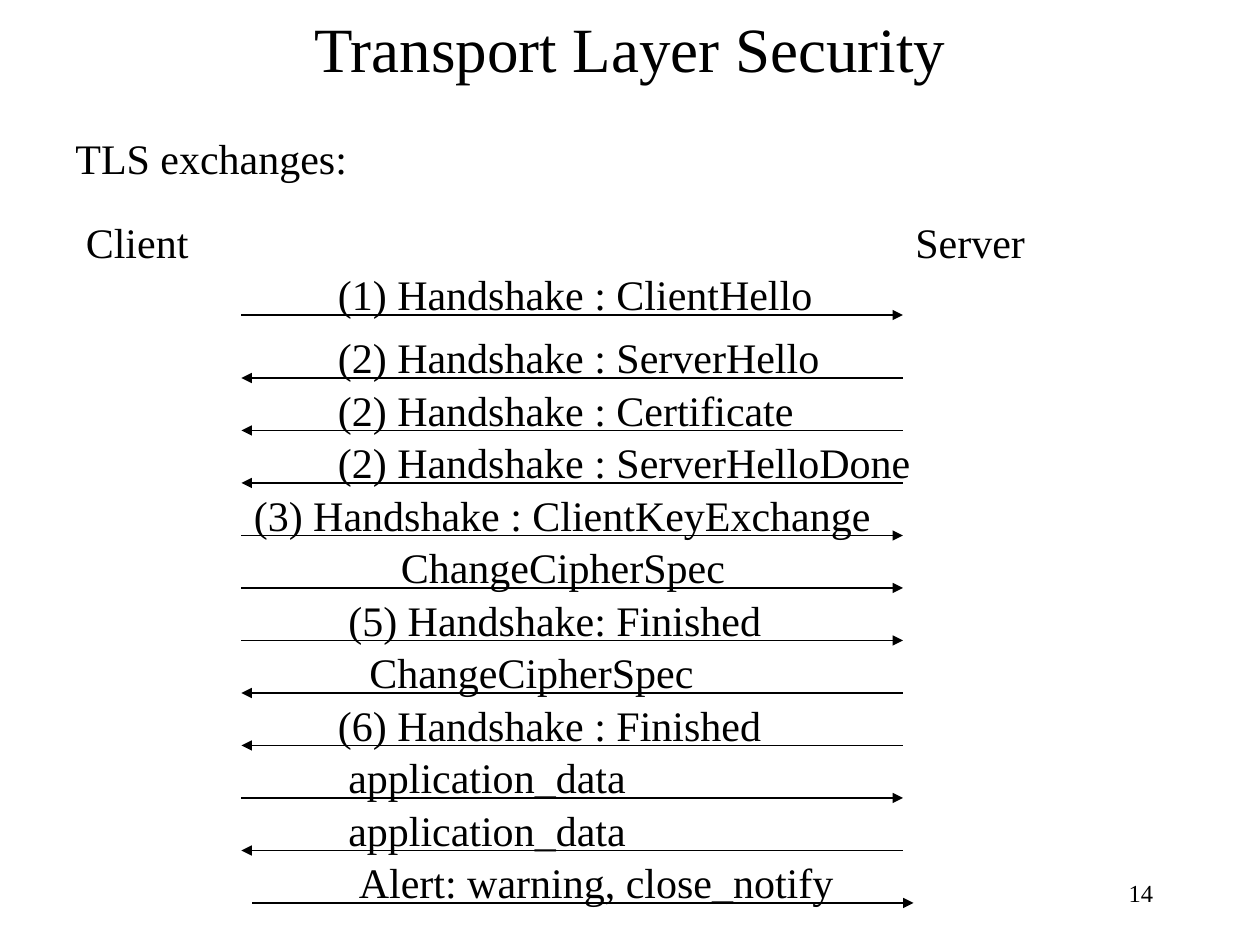
from lxml import etree
from pptx import Presentation
from pptx import util as u
from pptx.dml.color import RGBColor
from pptx.enum import shapes, text
from pptx.oxml.ns import qn

COLUMNS, ROWS = 120, 90
CLIENT, SERVER = 23, 86
MESSAGE_STEP = 5

# label, label column, direction, extra rows before, shift of the arrow
MESSAGES = [
    ("(1) Handshake : ClientHello", 31, "right"),
    ("(2) Handshake : ServerHello", 31, "left"),
    ("(2) Handshake : Certificate", 31, "left"),
    ("(2) Handshake : ServerHelloDone", 31, "left"),
    ("(3) Handshake : ClientKeyExchange", 23, "right"),
    ("ChangeCipherSpec", 37, "right"),
    ("(5) Handshake: Finished", 32, "right"),
    ("ChangeCipherSpec", 34, "left"),
    ("(6) Handshake : Finished", 31, "left"),
    ("application_data", 32, "right"),
    ("application_data", 32, "left"),
    ("Alert: warning, close_notify", 33, "right"),
]


def color(value):
    return RGBColor.from_string(value.lstrip("#"))


class SequenceSlide:
    """Draws styled text and arrows on a slide grid of 120 columns and 90 rows."""

    font = "Times New Roman"
    ink = "#000000"

    def __init__(self, presentation):
        self.slide = presentation.slides.add_slide(presentation.slide_layouts[6])
        self.column = presentation.slide_width / COLUMNS
        self.row = presentation.slide_height / ROWS

    def x(self, columns):
        return round(columns * self.column)

    def y(self, rows):
        return round(rows * self.row)

    def text(self, words, left, top, width, height, size=24, space=4.8,
             align=text.PP_ALIGN.LEFT, anchor=text.MSO_ANCHOR.TOP):
        shape = self.slide.shapes.add_textbox(
            self.x(left), self.y(top), self.x(width), self.y(height))
        frame = shape.text_frame
        frame.text = words
        frame.word_wrap = True
        frame.vertical_anchor = anchor
        paragraph = frame.paragraphs[0]
        paragraph.alignment = align
        paragraph.space_before = u.Pt(space)
        font = paragraph.runs[0].font
        font.name, font.size = self.font, u.Pt(size)
        font.color.rgb = color(self.ink)

    def arrow(self, start, end, row):
        shape = self.slide.shapes.add_connector(
            shapes.MSO_CONNECTOR.STRAIGHT,
            self.x(start), self.y(row), self.x(end), self.y(row))
        shape.line.width = u.Pt(1)
        shape.line.color.rgb = color(self.ink)
        properties = shape.element.spPr
        etree.SubElement(properties.find(qn("a:ln")), qn("a:tailEnd"), type="triangle")
        etree.SubElement(properties, qn("a:effectLst"))

    def message(self, words, column, direction, row, shift=0):
        ends = (CLIENT + shift, SERVER + shift)
        self.arrow(*(ends if direction == "right" else ends[::-1]), row)
        width = 65 if column == CLIENT else 59
        self.text(words, column, row - MESSAGE_STEP, width, 9)


def main():
    presentation = Presentation()
    presentation.slide_width = u.Inches(10)
    presentation.slide_height = u.Inches(7.5)
    page = SequenceSlide(presentation)

    page.text("Transport Layer Security", 6, -0.1, 108, 9.2, size=36, space=0,
              align=text.PP_ALIGN.CENTER, anchor=text.MSO_ANCHOR.MIDDLE)
    page.text("TLS exchanges:", 6, 12, 111, 54)
    page.text("Client", 7, 20, 19, 9)
    page.text("Server", 86, 20, 19, 9)

    last = len(MESSAGES) - 1
    for index, message in enumerate(MESSAGES):
        row = 31 + MESSAGE_STEP * index if index else 30
        page.message(*message, row, shift=1 if index == last else 0)

    page.text("14", 86, 82, 25, 6, size=14, space=0,
              align=text.PP_ALIGN.RIGHT, anchor=text.MSO_ANCHOR.MIDDLE)
    presentation.save("out.pptx")


if __name__ == "__main__":
    main()
